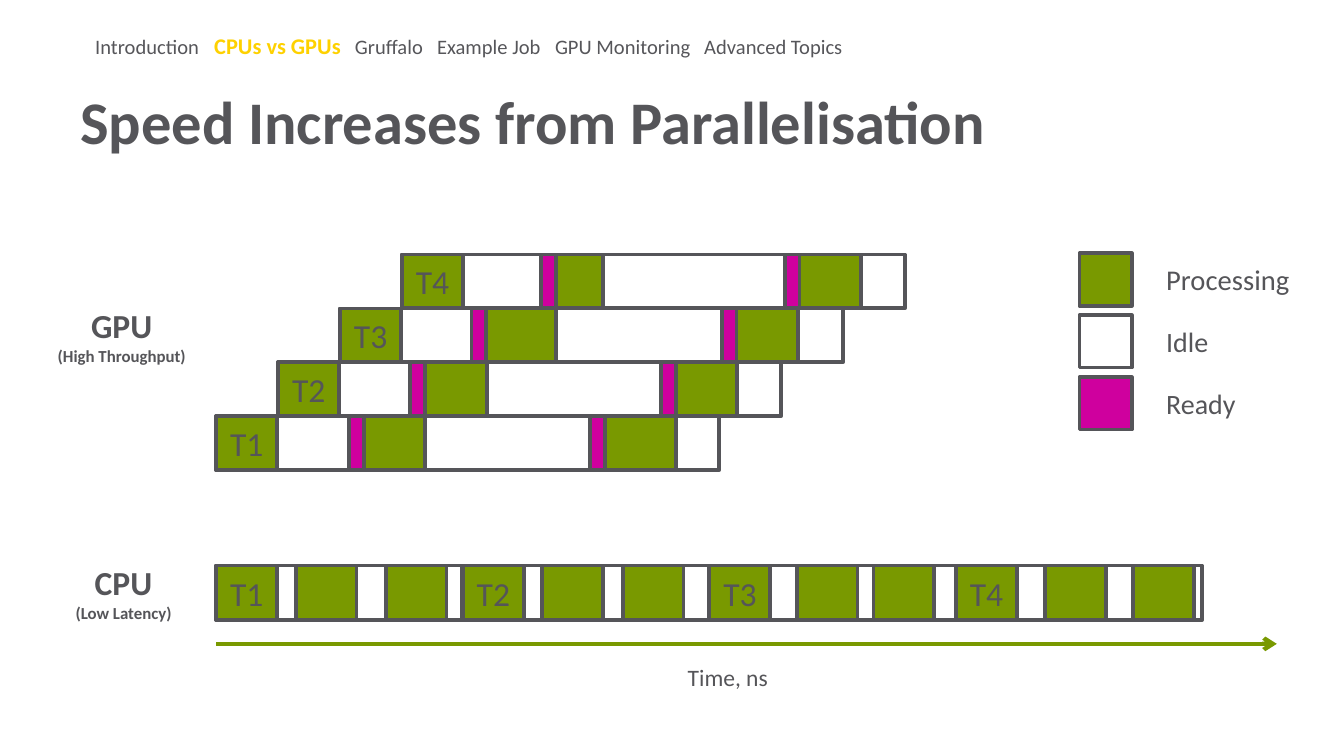
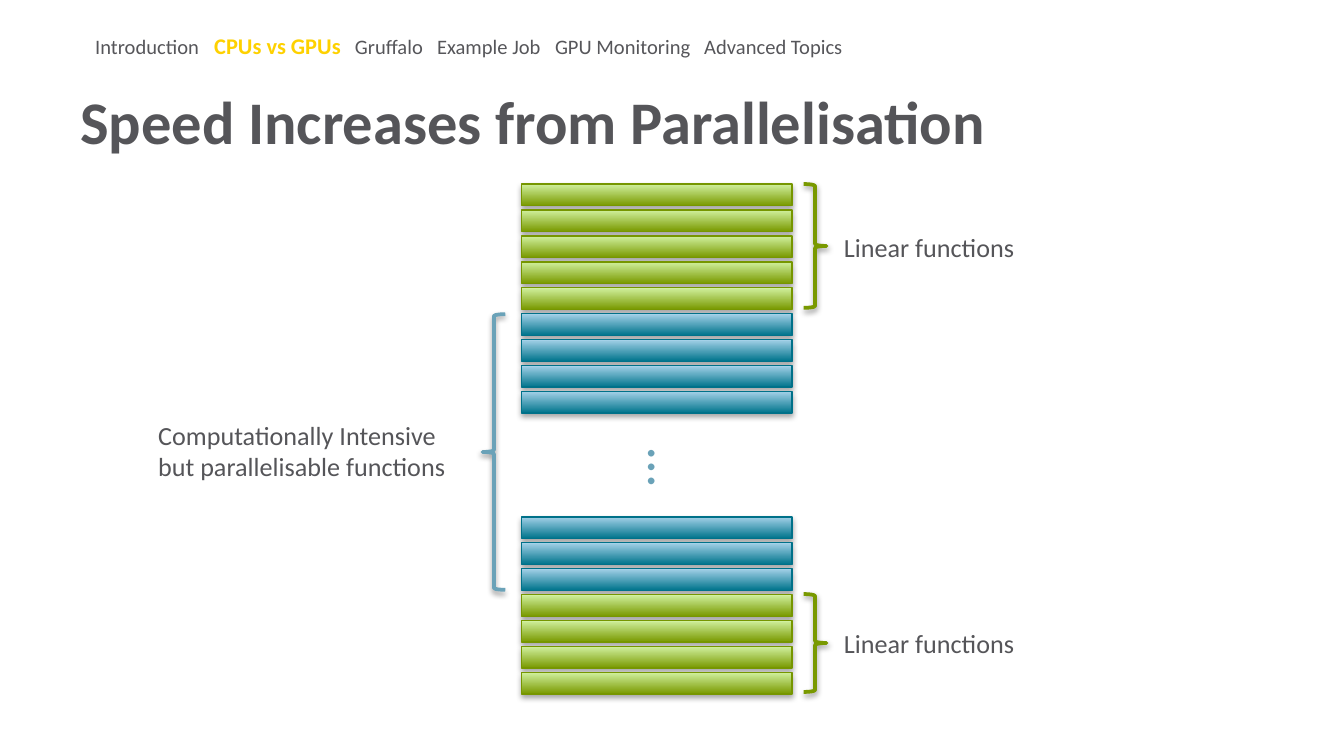
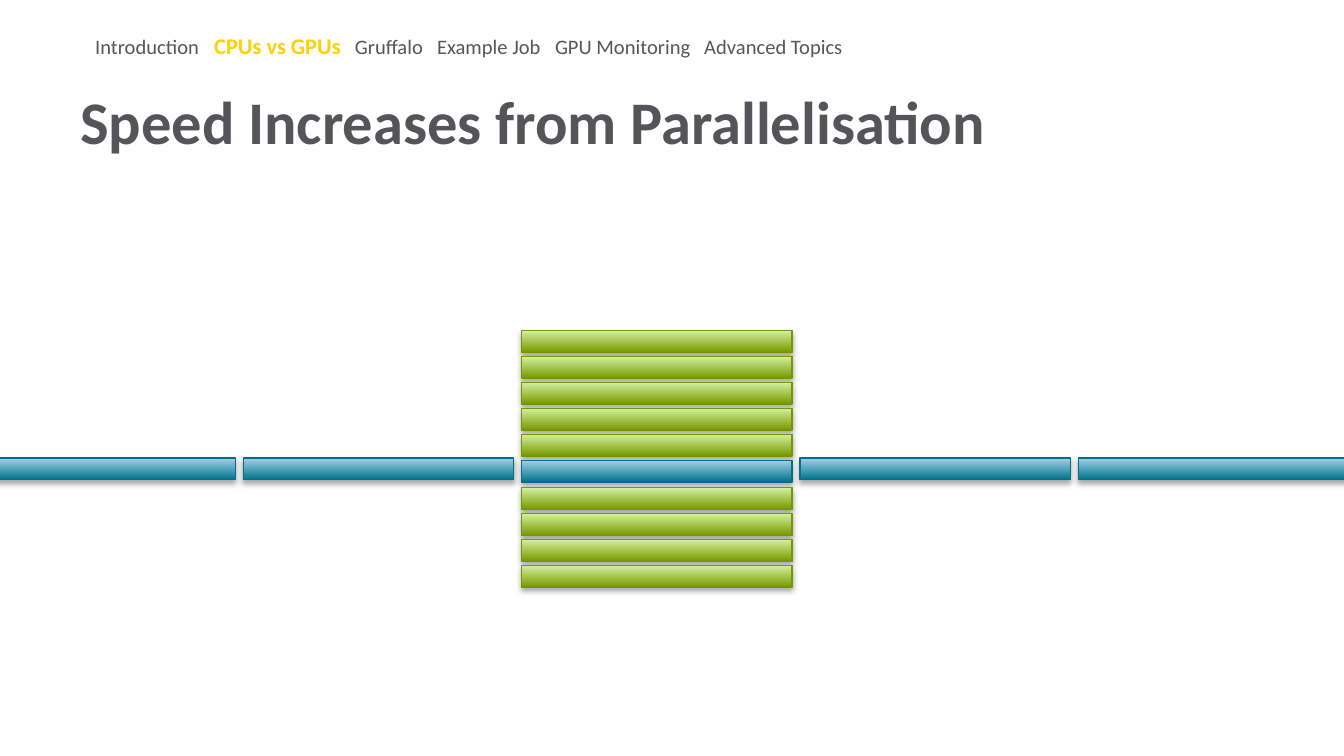
from dataclasses import dataclass
from typing import NamedTuple

from lxml.etree import SubElement
from pptx import Presentation
from pptx.dml.color import RGBColor
from pptx.enum.shapes import MSO_CONNECTOR, MSO_SHAPE as Preset
from pptx.enum.text import MSO_ANCHOR as Anchor, MSO_AUTO_SIZE as AutoSize, PP_ALIGN as Align
from pptx.oxml.ns import qn
from pptx.shapes.autoshape import Shape
from pptx.slide import Slide
from pptx.util import Cm, Pt


class Box(NamedTuple):
    """Left, top, width and height in centimetres."""
    left: float
    top: float
    width: float
    height: float


class Gradient(NamedTuple):
    """Bottom, top and outline colours of a function bar."""
    bottom: str
    top: str
    outline: str


class Burst(NamedTuple):
    """A spell of processing, preceded by a ready marker."""
    start: float
    width: float
    lead: float = 0.28


class LegendEntry(NamedTuple):
    """Colour, caption and caption size of a legend row."""
    fill: str
    caption: str
    size: float


class Brace(NamedTuple):
    """A brace beside a group of functions."""
    preset: Preset
    box: Box
    color: str


@dataclass(frozen=True)
class Theme:
    """Colours, font and type sizes of the deck."""
    font: str = "Calibri"
    text: str = "555559"
    nav: str = "56565A"
    current: str = "FED100"
    processing: str = "799900"
    idle: str = "FFFFFF"
    ready: str = "CF009E"
    intensive: str = "6AA2B8"
    linear_bar: Gradient = Gradient("799900", "D1F19F", "769600")
    intensive_bar: Gradient = Gradient("00748C", "A4D1E8", "007189")
    title_size: float = 32.4
    nav_size: float = 11
    current_size: float = 12
    thread_size: float = 18
    detail_size: float = 9
    axis_size: float = 12.6
    note_size: float = 14
    dots_size: float = 29.6


THEME = Theme()
TITLE = "Speed Increases from Parallelisation"
SECTIONS = ("Introduction", "CPUs vs GPUs", "Gruffalo", "Example Job", "GPU Monitoring", "Advanced Topics")
SECTION_TABS = (2.25, 4.91, 6.46, 8.69, 11.51)
CURRENT_SECTION = "CPUs vs GPUs"

TIME_START = 4.09
FIRST_BURST = 1.15
READY_WIDTH = 0.28
GPU_THREADS = (
    (Burst(2.79, 1.15), Burst(7.34, 1.35)),
    (Burst(2.77, 1.17), Burst(7.52, 1.15)),
    (Burst(2.76, 1.32), Burst(7.49, 1.17)),
    (Burst(2.76, 1.04, 0.13), Burst(7.51, 1.17)),
)
CPU_THREADS = ((1.5, 3.2), (1.5, 3.02), (1.65, 3.1), (1.68, 3.35))
LEGEND = (
    LegendEntry(THEME.processing, "Processing", 15.3),
    LegendEntry(THEME.idle, "Idle", 15),
    LegendEntry(THEME.ready, "Ready", 15),
)

BAR_LEFT, BAR_WIDTH, BAR_HEIGHT = 9.86, 5.11, 0.41
STACK_PITCH, ROW_PITCH = 0.49, 5.26
BRACES = (
    Brace(Preset.RIGHT_BRACE, Box(15.19, 3.48, 0.43, 2.34), THEME.processing),
    Brace(Preset.RIGHT_BRACE, Box(15.19, 11.23, 0.43, 1.85), THEME.processing),
    Brace(Preset.LEFT_BRACE, Box(9.12, 5.94, 0.43, 5.21), THEME.intensive),
)


def rgb(color: str) -> RGBColor:
    """Turn a hex string into a colour."""
    return RGBColor.from_string(color)


def lengths(box: Box) -> tuple[Cm, ...]:
    """Give the box as lengths."""
    return tuple(Cm(value) for value in box)


def style_runs(paragraph, size: float, color: str, bold: bool = False) -> None:
    """Format every run of a paragraph."""
    for run in paragraph.runs:
        run.font.name = THEME.font
        run.font.size = Pt(size)
        run.font.bold = bold
        run.font.color.rgb = rgb(color)


def add_text(slide: Slide, box: Box, text: str, size: float, color: str = THEME.text, bold: bool = False,
             align: Align = Align.LEFT, anchor: Anchor = Anchor.MIDDLE) -> Shape:
    """Add a wrapped text box."""
    label = slide.shapes.add_textbox(*lengths(box))
    frame = label.text_frame
    frame.word_wrap = True
    frame.vertical_anchor = anchor
    frame.text = text
    for paragraph in frame.paragraphs:
        paragraph.alignment = align
        style_runs(paragraph, size, color, bold)
    return label


def add_note(slide: Slide, box: Box, text: str) -> None:
    """Add a note that grows with its text."""
    note = add_text(slide, box, text, THEME.note_size, anchor=Anchor.TOP)
    note.text_frame.auto_size = AutoSize.SHAPE_TO_FIT_TEXT


def add_processor(slide: Slide, box: Box, name: str, detail: str) -> None:
    """Add a processor name above its strength."""
    label = add_text(slide, box, f"{name}\n{detail}", THEME.thread_size, bold=True, align=Align.CENTER)
    style_runs(label.text_frame.paragraphs[1], THEME.detail_size, THEME.text, True)


def add_shape(slide: Slide, preset: Preset, box: Box, outline: str, weight: float) -> Shape:
    """Add an outlined preset shape without a shadow."""
    shape = slide.shapes.add_shape(preset, *lengths(box))
    shape.shadow.inherit = False
    shape.line.color.rgb = rgb(outline)
    shape.line.width = Pt(weight)
    return shape


def add_block(slide: Slide, box: Box, fill: str, caption: str = "") -> None:
    """Add one block of a timeline or legend."""
    block = add_shape(slide, Preset.RECTANGLE, box, THEME.text, 2)
    block.fill.solid()
    block.fill.fore_color.rgb = rgb(fill)
    if caption:
        frame = block.text_frame
        frame.margin_left = frame.margin_right = Cm(0)
        frame.vertical_anchor = Anchor.MIDDLE
        frame.text = caption
        frame.paragraphs[0].alignment = Align.CENTER
        style_runs(frame.paragraphs[0], THEME.thread_size, THEME.text)


def cast_shadow(shape: Shape, distance: float, opacity: int) -> None:
    """Give a shape a soft shadow below it."""
    effects = shape.element.spPr.find(qn("a:effectLst"))
    shadow = SubElement(effects, qn("a:outerShdw"), blurRad=str(Pt(3.1)), dist=str(Pt(distance)),
                        dir="5400000", rotWithShape="0")
    black = SubElement(shadow, qn("a:srgbClr"), val="000000")
    SubElement(black, qn("a:alpha"), val=str(opacity * 1000))


def add_bar(slide: Slide, left: float, top: float, colors: Gradient) -> None:
    """Add one function bar."""
    bar = add_shape(slide, Preset.RECTANGLE, Box(left, top, BAR_WIDTH, BAR_HEIGHT), colors.outline, 0.75)
    bar.fill.gradient()
    bar.fill.gradient_angle = 90
    for stop, color in zip(bar.fill.gradient_stops, (colors.bottom, colors.top)):
        stop.color.rgb = rgb(color)
    cast_shadow(bar, 1.8, 35)


def add_stack(slide: Slide, top: float, bars: list[Gradient]) -> None:
    """Stack function bars downwards."""
    for index, colors in enumerate(bars):
        add_bar(slide, BAR_LEFT, top + index * STACK_PITCH, colors)


def add_brace(slide: Slide, brace: Brace) -> None:
    """Add a shadowed brace."""
    shape = add_shape(slide, brace.preset, brace.box, brace.color, 2)
    shape.fill.background()
    cast_shadow(shape, 1.6, 38)


def add_navigation(slide: Slide) -> None:
    """List the sections and mark the current one."""
    navigation = add_text(slide, Box(1.27, 0.48, 21.92, 0.76), "", THEME.nav_size)
    navigation.text_frame.margin_left = Cm(0.53)
    paragraph = navigation.text_frame.paragraphs[0]
    tabs = SubElement(paragraph._p.get_or_add_pPr(), qn("a:tabLst"))
    for position in SECTION_TABS:
        SubElement(tabs, qn("a:tab"), pos=str(Cm(position)), algn="l")
    for index, section in enumerate(SECTIONS):
        paragraph.add_run().text = f"\t{section}" if index else section
    style_runs(paragraph, THEME.nav_size, THEME.nav)
    current = paragraph.runs[SECTIONS.index(CURRENT_SECTION)].font
    current.size = Pt(THEME.current_size)
    current.bold = True
    current.color.rgb = rgb(THEME.current)


def add_section_slide(deck: Presentation) -> Slide:
    """Add a blank slide with title and navigation."""
    slide = deck.slides.add_slide(deck.slide_layouts[6])
    add_text(slide, Box(1.27, 1.52, 20.47, 1.52), TITLE, THEME.title_size, bold=True)
    add_navigation(slide)
    return slide


def add_time_axis(slide: Slide) -> None:
    """Draw the time arrow and its caption."""
    axis = slide.shapes.add_connector(MSO_CONNECTOR.STRAIGHT, Cm(TIME_START), Cm(12.17), Cm(24.13), Cm(12.17))
    axis.line.color.rgb = rgb(THEME.processing)
    axis.line.width = Pt(2.25)
    properties = axis.element.spPr
    SubElement(properties.find(qn("a:ln")), qn("a:tailEnd"), type="arrow")
    SubElement(properties, qn("a:effectLst"))
    add_text(slide, Box(11.61, 12.42, 4.29, 0.74), "Time, ns", THEME.axis_size, align=Align.CENTER)


def add_cpu_timeline(slide: Slide) -> None:
    """Run the threads one after another."""
    top, height = 10.69, 1.03
    for index, starts in enumerate(CPU_THREADS):
        left = TIME_START + index * 4.66
        add_block(slide, Box(left, top, 4.65, height), THEME.idle)
        add_block(slide, Box(left, top, FIRST_BURST, height), THEME.processing, f"T{index + 1}")
        for start in starts:
            add_block(slide, Box(left + start, top, FIRST_BURST, height), THEME.processing)
    add_processor(slide, Box(0.81, 10.44, 3.05, 1.52), "CPU", "(Low Latency)")


def add_gpu_timeline(slide: Slide) -> None:
    """Run the threads overlapping, each one row higher."""
    height = 1.02
    for index, bursts in enumerate(GPU_THREADS):
        left, top = TIME_START + index * 1.17, 7.87 - index * height
        add_block(slide, Box(left, top, 9.5, height), THEME.idle)
        add_block(slide, Box(left, top, FIRST_BURST, height), THEME.processing, f"T{index + 1}")
        for burst in bursts:
            start = left + burst.start
            add_block(slide, Box(start, top, burst.width, height), THEME.processing)
            add_block(slide, Box(start - burst.lead, top, READY_WIDTH, height), THEME.ready)
    add_processor(slide, Box(0.66, 5.44, 3.28, 1.8), "GPU", "(High Throughput)")


def add_legend(slide: Slide) -> None:
    """Explain the block colours."""
    for index, entry in enumerate(LEGEND):
        top = 4.79 + index * 1.17
        add_block(slide, Box(20.4, top, 0.99, 0.99), entry.fill)
        add_text(slide, Box(21.79, top, 2.95, 0.99), entry.caption, entry.size)


def build_timelines(deck: Presentation) -> None:
    """Compare GPU and CPU scheduling."""
    slide = add_section_slide(deck)
    add_time_axis(slide)
    add_cpu_timeline(slide)
    add_gpu_timeline(slide)
    add_legend(slide)


def build_serial_program(deck: Presentation) -> None:
    """Show a program run as one long stack."""
    slide = add_section_slide(deck)
    linear, intensive = [THEME.linear_bar], [THEME.intensive_bar]
    add_stack(slide, 3.48, linear * 5 + intensive * 4)
    add_stack(slide, 9.77, intensive * 3 + linear * 4)
    add_note(slide, Box(2.74, 7.8, 6.38, 1.47), "Computationally Intensive but parallelisable functions")
    for top in (4.24, 11.73):
        add_note(slide, Box(15.7, top, 6.38, 0.86), "Linear functions")
    dots = add_text(slide, Box(11.02, 9.14, 3.3, 1.47), "…", THEME.dots_size, THEME.intensive)
    dots.rotation = 90
    for brace in BRACES:
        add_brace(slide, brace)


def build_parallel_program(deck: Presentation) -> None:
    """Show the intensive functions side by side."""
    slide = add_section_slide(deck)
    for step in (-2, -1, 1, 2):
        add_bar(slide, BAR_LEFT + step * ROW_PITCH, 8.66, THEME.intensive_bar)
    add_stack(slide, 6.25, [THEME.linear_bar] * 5 + [THEME.intensive_bar])
    add_stack(slide, 9.22, [THEME.linear_bar] * 4)


def main() -> None:
    """Build and save the deck."""
    deck = Presentation()
    deck.slide_width, deck.slide_height = Cm(25.4), Cm(14.29)
    build_timelines(deck)
    build_serial_program(deck)
    build_parallel_program(deck)
    deck.save("out.pptx")


if __name__ == "__main__":
    main()
